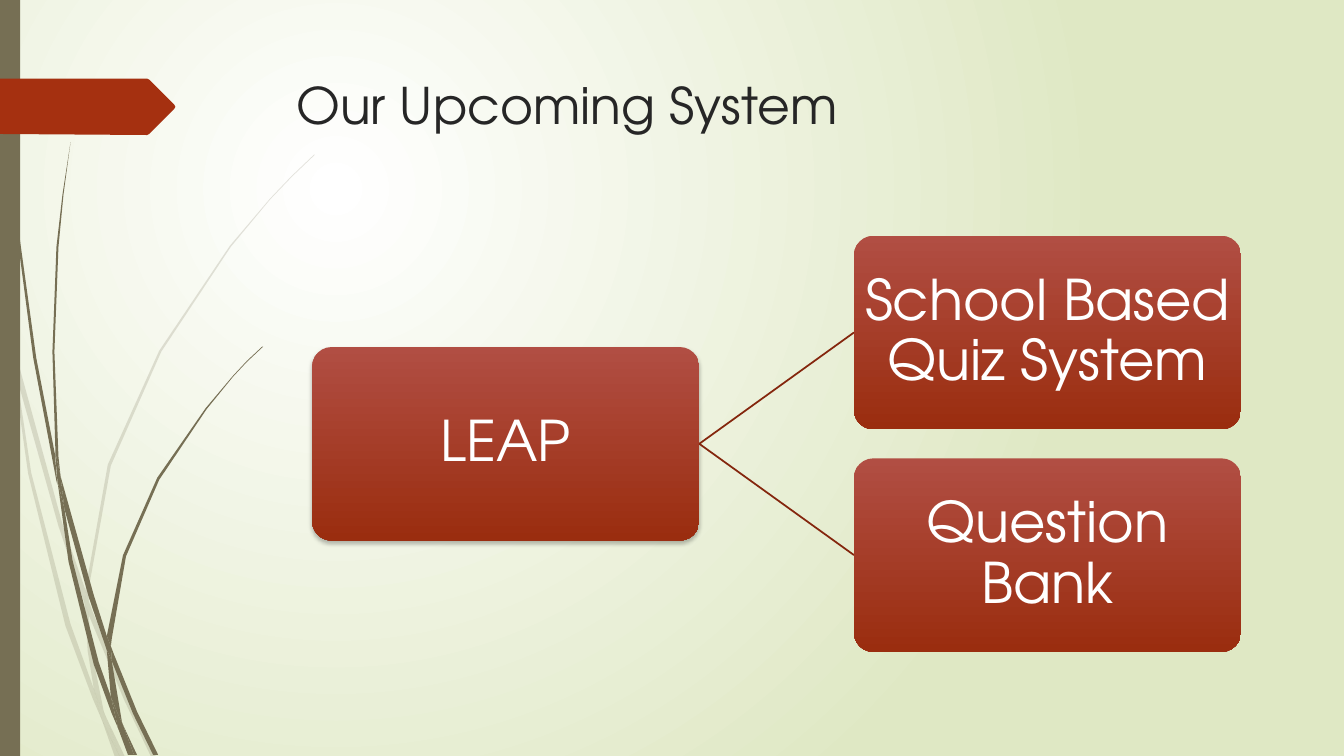
from lxml import etree
from pptx import Presentation
from pptx import util as u
from pptx.dml import color
from pptx.enum import shapes, text
from pptx.oxml import ns

Pt = u.Pt
HUES = {"olive": "766F54", "rust": "A53010", "ink": "262626", "white": "FFFFFF",
        "top": "B14E43", "base": "9A2D0F", "link": "84260D", "leaf": "DFE8C4",
        "black": "000000"}
FONT = "TeX Gyre Adventor"
GRID = 0.72  # points per unit of the grass and tab outlines

# Grass outlines, as x y pairs in grid units
PALE = [
    "11 350 9 322 0 282 0 299 10 344",
    "58 522 84 599 85 586 62 520 14 345 17 376",
    "92 607 88 596 88 610 123 694 150 751 155 751 127 692",
    "119 751 124 751 105 711",
    "93 683 70 619 31 469 17 376 11 350 28 470 65 621 92 693 101 714 99 707",
    "84 599 87 646 93 683 96 692 105 711 103 706 91 646 88 610 88 608",
    "88 584 110 462 160 349 229 245 268 198 290 175 312 154 312 153 289 175 "
    "268 197 228 244 158 348 107 461 85 584 85 586 88 596",
    "101 714 114 751 119 751",
    "88 608 88 610 88 596 85 586 84 599",
    "96 692 93 683 99 707 101 714 119 751 105 711",
]
DARK = [
    "7 110 17 233 33 355 56 477 57 481 55 457 55 453 36 355 19 232 8 109 "
    "5 48 4 0 3 0 4 48",
    "88 592 106 645 106 633 106 631 93 590 60 472 64 505",
    "113 649 110 641 111 656 132 708 152 749 157 749 136 706",
    "110 691 98 657 72 556 64 505 57 477 68 557 93 659 111 708 117 722 116 717",
    "60 472 58 453 54 349 58 245 63 193 70 141 62 193 56 245 52 349 55 449",
    "133 749 136 749 122 719",
    "57 477 64 505 60 472 55 449 55 453",
    "111 633 125 552 158 476 205 406 231 374 245 359 261 344 260 344 245 358 "
    "231 373 204 405 156 474 122 551 106 631 110 641",
    "117 722 127 749 131 749",
    "106 645 110 691 116 706 122 719 121 716 111 656 109 651",
    "106 645 109 651 111 656 110 641 106 631 106 633",
    "116 706 110 691 116 717 117 722 130 749 133 749 122 719",
]
TAB = "0 78 146 78 148 79 173 104 174 106 173 108 148 133 146 134 0 133"


def hue(name):
    return color.RGBColor.from_string(HUES[name])


def sub(node, tag, **attrs):
    return etree.SubElement(node, ns.qn(tag), {k: str(v) for k, v in attrs.items()})


class Deck:
    def __init__(self):
        self.prs = Presentation()
        self.prs.slide_width, self.prs.slide_height = Pt(960), Pt(540)
        self.page = self.prs.slides.add_slide(self.prs.slide_layouts[5])
        self.items = self.page.shapes

    def blend(self, fill, *names):
        fill.gradient()
        for stop, name in zip(fill.gradient_stops, names):
            stop.color.rgb = hue(name)

    def glow(self, *names):
        """Radial page background, centred at the upper left quarter."""
        self.blend(self.page.background.fill, *names)
        line = self.page.element.find(".//" + ns.qn("a:lin"))
        grad = line.getparent()
        grad.remove(line)
        ring = sub(grad, "a:path", path="circle")
        sub(ring, "a:fillToRect", l=50000, t=50000, r=100000, b=100000)

    def plain(self, shape, name=None):
        shape.shadow.inherit = False
        shape.line.fill.background()
        if name:
            shape.fill.solid()
            shape.fill.fore_color.rgb = hue(name)
        return shape

    def outline(self, coords, name, alpha=None):
        nums = [int(n) for n in coords.split()]
        pts = list(zip(nums[::2], nums[1::2]))
        pen = self.items.build_freeform(*pts[0], scale=Pt(GRID))
        pen.add_line_segments(pts[1:], close=True)
        shape = self.plain(pen.convert_to_shape(), name)
        if alpha:
            tint = shape.element.spPr.find(".//" + ns.qn("a:srgbClr"))
            sub(tint, "a:alpha", val=alpha * 1000)

    def bar(self, x, y, w, h, name):
        kind = shapes.MSO_SHAPE.RECTANGLE
        self.plain(self.items.add_shape(kind, Pt(x), Pt(y), Pt(w), Pt(h)), name)

    def label(self, para, words, size, name):
        run = para.add_run()
        run.text = words
        run.font.size, run.font.name = Pt(size), FONT
        run.font.color.rgb = hue(name)

    def title(self, words, x, y, w, h):
        head = self.items.title
        head.left, head.top, head.width, head.height = Pt(x), Pt(y), Pt(w), Pt(h)
        frame = head.text_frame
        frame.vertical_anchor = text.MSO_ANCHOR.TOP
        para = frame.paragraphs[0]
        para.alignment = text.PP_ALIGN.LEFT
        self.label(para, words, 36, "ink")

    def card(self, words, x, y, w, h, shade=False):
        kind = shapes.MSO_SHAPE.ROUNDED_RECTANGLE
        box = self.plain(self.items.add_shape(kind, Pt(x), Pt(y), Pt(w), Pt(h)))
        box.adjustments[0] = 0.1
        self.blend(box.fill, "top", "base")
        box.fill.gradient_angle = 270
        if shade:
            fx = box.element.spPr.find(ns.qn("a:effectLst"))
            drop = sub(fx, "a:outerShdw", blurRad=Pt(3), dist=Pt(2), dir=5400000)
            sub(sub(drop, "a:srgbClr", val=HUES["black"]), "a:alpha", val=25000)
        frame = box.text_frame
        frame.word_wrap = True
        frame.vertical_anchor = text.MSO_ANCHOR.MIDDLE
        frame.margin_left = frame.margin_right = Pt(2)
        frame.margin_top = frame.margin_bottom = Pt(2)
        para = frame.paragraphs[0]
        para.alignment = text.PP_ALIGN.CENTER
        para.line_spacing = 0.9
        self.label(para, words, 40, "white")

    def link(self, x1, y1, x2, y2):
        kind = shapes.MSO_CONNECTOR.STRAIGHT
        line = self.items.add_connector(kind, Pt(x1), Pt(y1), Pt(x2), Pt(y2))
        line.line.width = Pt(1.25)
        line.line.color.rgb = hue("link")
        sub(line.element.spPr, "a:effectLst")


def main():
    deck = Deck()

    # Backdrop: glow, grass, side bar and tab
    deck.glow("white", "leaf")
    for blade in PALE:
        deck.outline(blade, "olive", 20)
    for blade in DARK:
        deck.outline(blade, "olive")
    deck.bar(0, 0, 14.4, 540, "olive")
    deck.outline(TAB, "rust")

    deck.title("Our Upcoming System", 204.5, 49, 702, 130.4)

    # Tree: one root, branches stacked evenly around its middle
    wide, high, gap = 276.5, 138.2, 20.8
    root, side, mid = 223, 610, 317
    leaves = ["School Based Quiz System", "Question Bank"]
    deck.card("LEAP", root, mid - high / 2, wide, high, shade=True)
    for i, words in enumerate(leaves):
        y = mid + (i - (len(leaves) - 1) / 2) * (high + gap)
        deck.link(root + wide, mid, side, y)
        deck.card(words, side, y - high / 2, wide, high)

    deck.prs.save("out.pptx")


if __name__ == "__main__":
    main()
